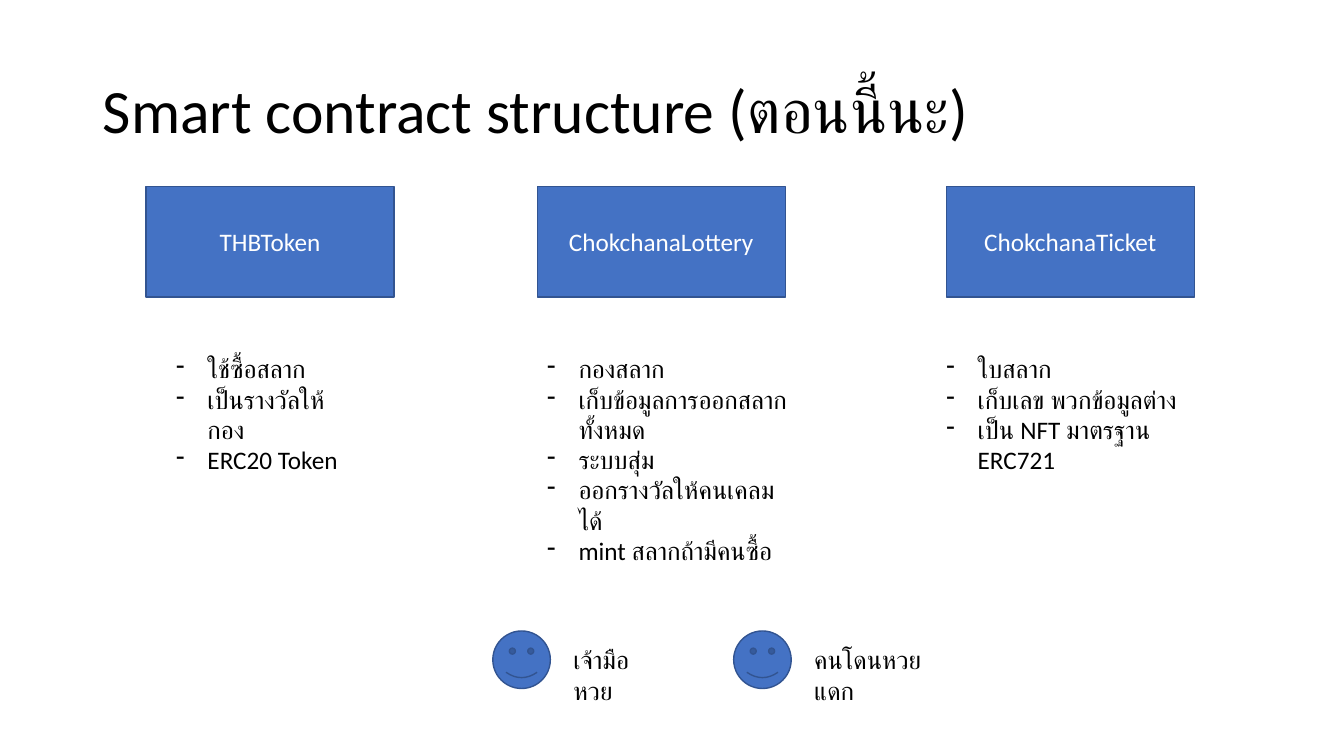
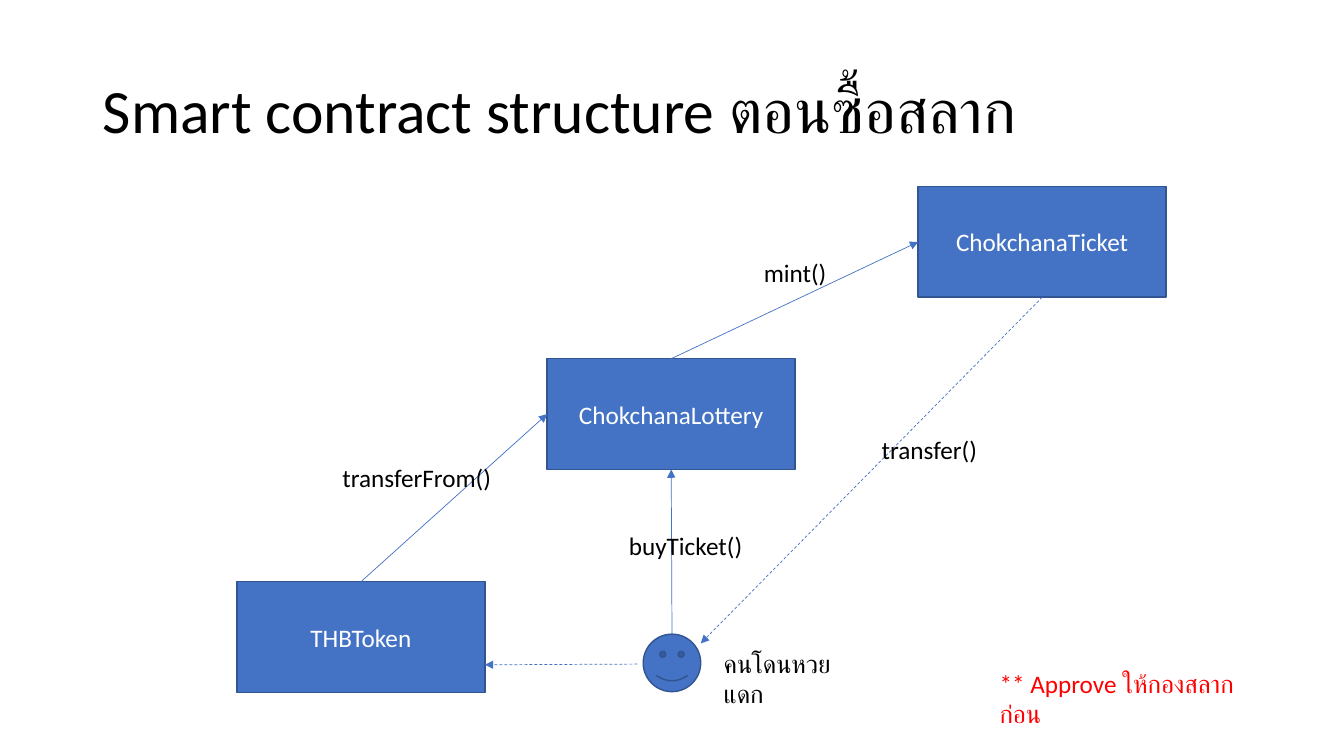
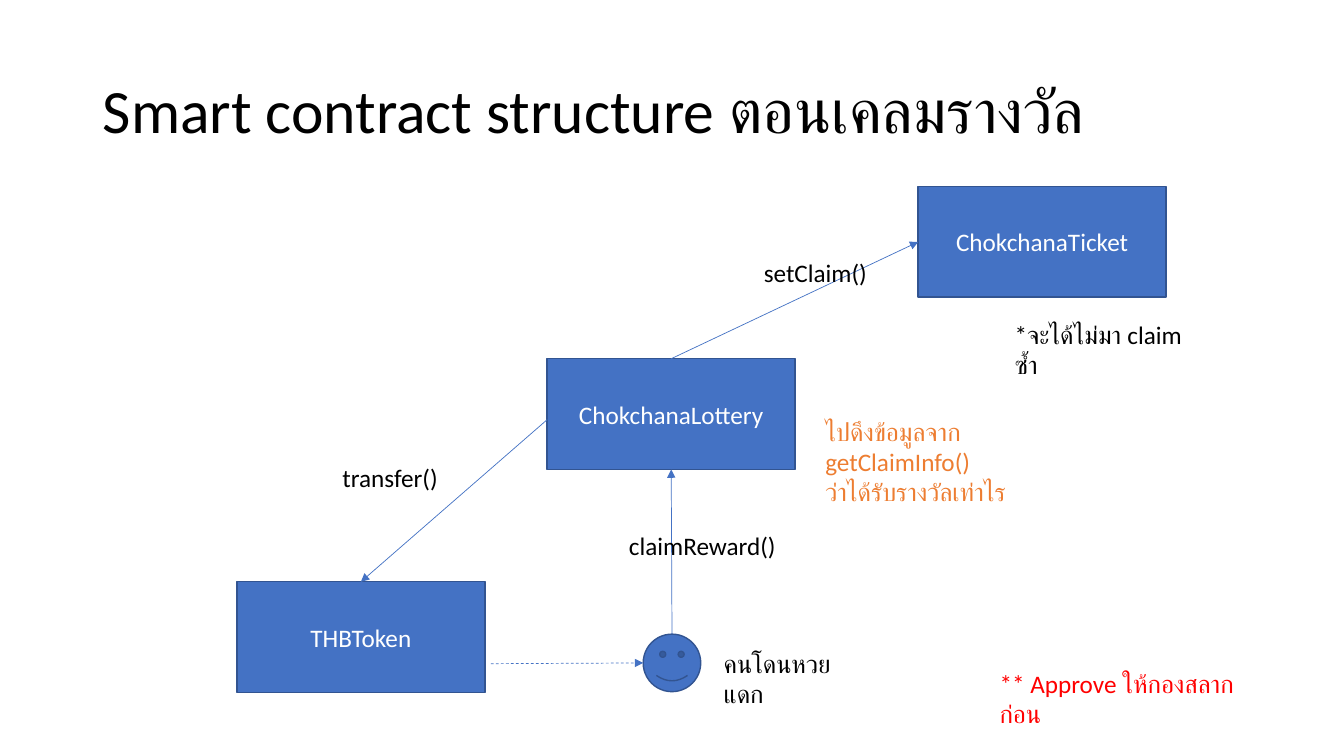
from dataclasses import dataclass

from pptx import Presentation
from pptx.dml.color import RGBColor as Color
from pptx.enum.dml import MSO_LINE as Dash
from pptx.enum.lang import MSO_LANGUAGE_ID as Language
from pptx.enum.shapes import MSO_CONNECTOR as Connector, MSO_SHAPE as Preset
from pptx.enum.text import MSO_ANCHOR as Anchor, PP_ALIGN as Align
from pptx.oxml.ns import qn
from pptx.util import Cm, Pt
from lxml import etree


@dataclass(frozen=True)
class Theme:
    font: str = "Calibri"
    title_size: float = 44
    body_size: float = 18
    ink: str = "000000"
    paper: str = "FFFFFF"
    fill: str = "4472C4"
    outline: str = "325491"
    warning: str = "FF0000"
    remark: str = "ED7D31"
    outline_width: float = 1
    arrow_width: float = 0.5


class Board:
    """Holds the theme and the current page; one method per kind of element."""

    BOX_WIDTH, BOX_HEIGHT, FACE_SIZE, INDENT = 6.25, 2.79, 1.45, 0.79

    def __init__(self, theme):
        self.theme = theme
        self.deck = Presentation()
        self.deck.slide_width, self.deck.slide_height = Cm(33.87), Cm(19.05)
        self.page = None

    def new_page(self, topic):
        self.page = self.deck.slides.add_slide(self.deck.slide_layouts[6])
        title = self.text(2.34, 1.02, 29.21, 3.68,
                          ["Smart contract structure " + topic],
                          size=self.theme.title_size)
        title.text_frame.vertical_anchor = Anchor.MIDDLE
        title.text_frame.paragraphs[0].line_spacing = 0.9

    def add_span(self, para, words, color, size):
        span = para.add_run()
        span.text = words
        span.font.name = self.theme.font
        span.font.size = Pt(size)
        span.font.color.rgb = Color.from_string(color)
        span.font.language_id = Language.THAI

    def text(self, left, top, width, height, lines, color=None, size=None,
             bullets=False):
        box = self.page.shapes.add_textbox(Cm(left), Cm(top), Cm(width), Cm(height))
        frame = box.text_frame
        frame.word_wrap = True
        for number, words in enumerate(lines):
            para = frame.add_paragraph() if number else frame.paragraphs[0]
            self.add_span(para, words, color or self.theme.ink,
                          size or self.theme.body_size)
            if bullets:
                self.dash_bullet(para)
        return box

    def dash_bullet(self, para):
        props = para._p.get_or_add_pPr()
        props.set("marL", str(Cm(self.INDENT)))
        props.set("indent", str(-Cm(self.INDENT)))
        etree.SubElement(props, qn("a:buFontTx"))
        etree.SubElement(props, qn("a:buChar")).set("char", "-")

    def label(self, left, top, width, words, color=None):
        self.text(left, top, width, 1.03, [words], color)

    def shape(self, preset, left, top, width, height):
        shape = self.page.shapes.add_shape(preset, Cm(left), Cm(top),
                                           Cm(width), Cm(height))
        shape.shadow.inherit = False
        shape.fill.solid()
        shape.fill.fore_color.rgb = Color.from_string(self.theme.fill)
        shape.line.color.rgb = Color.from_string(self.theme.outline)
        shape.line.width = Pt(self.theme.outline_width)
        return shape

    def contract(self, left, top, name):
        box = self.shape(Preset.RECTANGLE, left, top, self.BOX_WIDTH, self.BOX_HEIGHT)
        box.text_frame.vertical_anchor = Anchor.MIDDLE
        para = box.text_frame.paragraphs[0]
        para.alignment = Align.CENTER
        self.add_span(para, name, self.theme.paper, self.theme.body_size)
        return box

    def person(self, left, top, name, width):
        face = self.shape(Preset.SMILEY_FACE, left, top, self.FACE_SIZE, self.FACE_SIZE)
        self.label(left + 1.78, top + 0.22, width, name)
        return face

    def arrow(self, start, end, dashed=False):
        line = self.page.shapes.add_connector(Connector.STRAIGHT, *start, *end)
        line.line.color.rgb = Color.from_string(self.theme.fill)
        line.line.width = Pt(self.theme.arrow_width)
        if dashed:
            line.line.dash_style = Dash.DASH
        stroke = line.line._get_or_add_ln()
        etree.SubElement(stroke, qn("a:tailEnd")).set("type", "triangle")
        etree.SubElement(line._element.spPr, qn("a:effectLst"))


def spot(shape, across, down, shift=0):
    """Point at a fraction of a shape's width and height, shifted sideways in cm."""
    return (int(shape.left + across * shape.width + Cm(shift)),
            int(shape.top + down * shape.height))


PLAYER = ("คนโดนหวยแดก", 3.28)
TOKEN, LOTTERY, TICKET = "THBToken", "ChokchanaLottery", "ChokchanaTicket"
theme = Theme()
board = Board(theme)


def flow_page(topic, call, ticket_call):
    """Boxes, person and arrows that both flow pages share."""
    board.new_page(topic)
    ticket = board.contract(23.14, 4.7, TICKET)
    lottery = board.contract(13.79, 9.04, LOTTERY)
    token = board.contract(5.97, 14.66, TOKEN)
    player = board.person(16.21, 15.98, *PLAYER)
    board.arrow(spot(player, 0.5, 0), spot(lottery, 0.5, 1))
    board.arrow(spot(lottery, 0.5, 0), spot(ticket, 0, 0.5))
    board.label(15.6, 13.23, 4.3, call)
    board.label(19, 6.35, 3.2, ticket_call)
    board.label(24.94, 16.71, 6.6, "** Approve ให้กองสลากก่อน", theme.warning)
    return ticket, lottery, token, player


# Page 1: contracts and their duties
board.new_page("(ตอนนี้นะ)")
columns = [
    (3.68, TOKEN, 4.19, 4.65, 3.33,
     ["ใช้ซื้อสลาก", "เป็นรางวัลให้กอง", "ERC20 Token"]),
    (13.54, LOTTERY, 13.54, 6.76, 4.11,
     ["กองสลาก", "เก็บข้อมูลการออกสลากทั้งหมด", "ระบบสุ่ม",
      "ออกรางวัลให้คนเคลมได้", "mint สลากถ้ามีคนซื้อ"]),
    (23.85, TICKET, 23.6, 7.11, 2.57,
     ["ใบสลาก", "เก็บเลข พวกข้อมูลต่าง", "เป็น NFT มาตรฐาน ERC721"]),
]
for box_left, name, list_left, width, height, duties in columns:
    board.contract(box_left, 4.7, name)
    board.text(list_left, 8.79, width, height, duties, bullets=True)
board.person(12.42, 15.9, "เจ้ามือหวย", 2.41)
board.person(18.49, 15.9, *PLAYER)

# Page 2: buying a ticket
ticket, lottery, token, player = flow_page("ตอนซื้อสลาก", "buyTicket()", "mint()")
board.arrow(spot(token, 0.5, 0), spot(lottery, 0, 0.5))
board.label(8.38, 11.53, 4.35, "transferFrom()")
board.arrow(spot(player, 0, 0.52, -0.15), spot(token, 1, 0.75), dashed=True)
board.arrow(spot(ticket, 0.5, 1), spot(player, 1, 0.16), dashed=True)
board.label(21.97, 10.82, 3, "transfer()")

# Page 3: claiming the reward
ticket, lottery, token, player = flow_page("ตอนเคลมรางวัล", "claimReward()",
                                           "setClaim()")
board.arrow(spot(lottery, 0, 0.55), spot(token, 0.5, 0))
board.label(8.38, 11.53, 3, "transfer()")
board.arrow(spot(token, 1, 0.74, 0.15), spot(player, 0, 0.5), dashed=True)
board.label(25.32, 7.92, 4.83, "*จะได้ไม่มา claim ซ้ำ")
board.text(20.55, 10.36, 6.99, 1.8,
           ["ไปดึงข้อมูลจาก getClaimInfo()", "ว่าได้รับรางวัลเท่าไร"], theme.remark)

board.deck.save("out.pptx")
